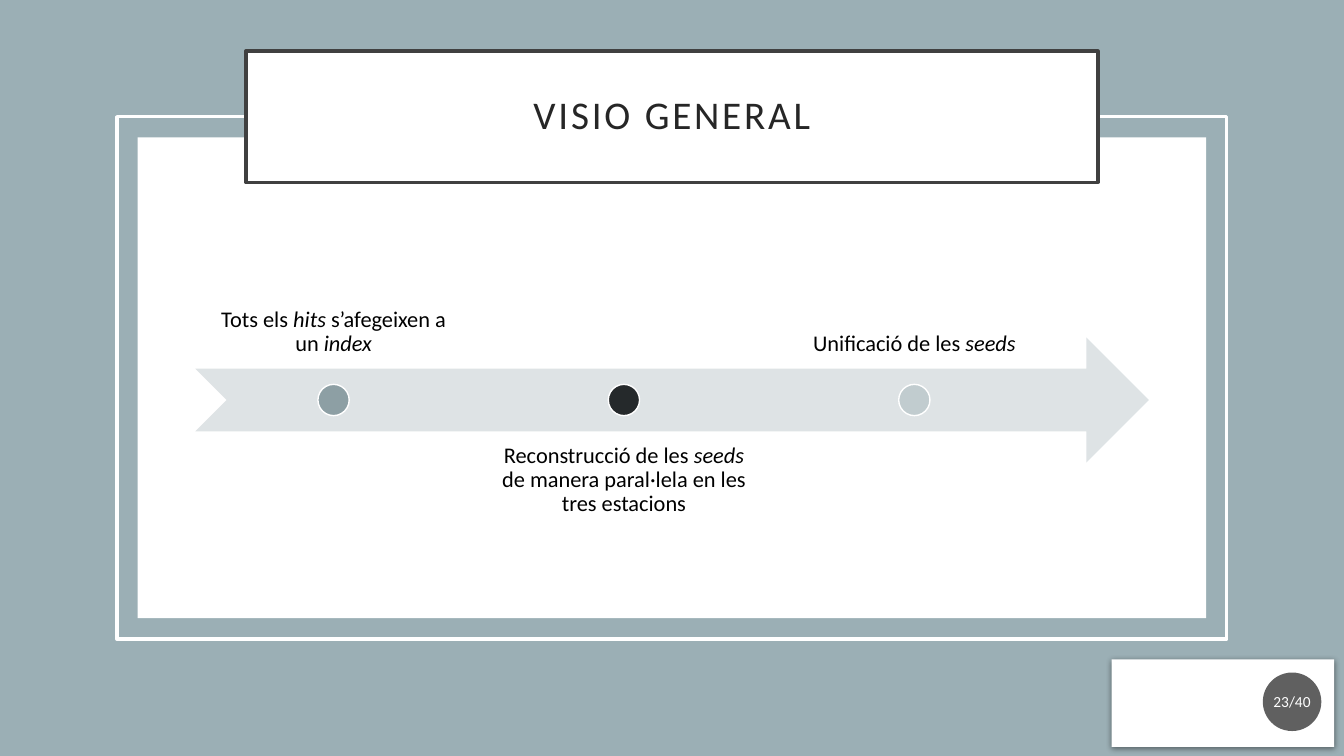
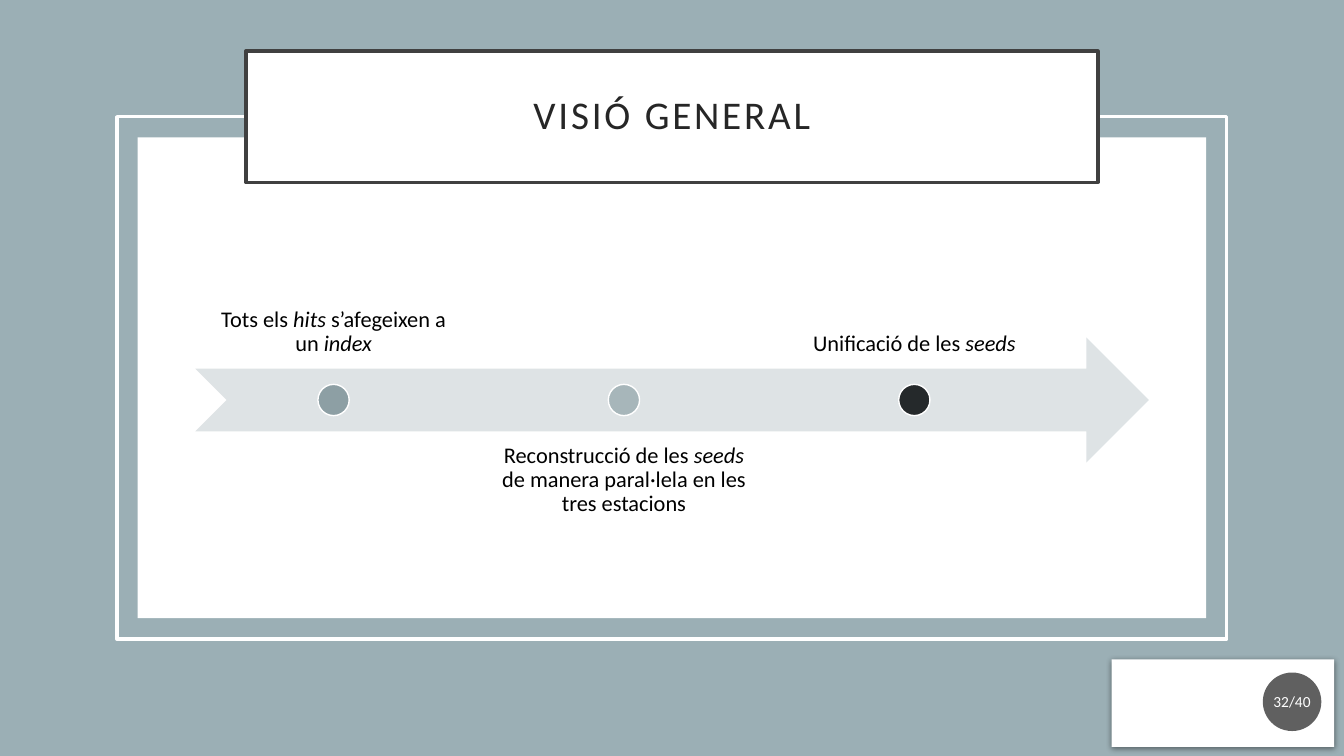
from lxml import etree
from pptx import Presentation
from pptx.dml.color import RGBColor
from pptx.enum.shapes import MSO_SHAPE
from pptx.enum.text import MSO_ANCHOR, MSO_AUTO_SIZE, PP_ALIGN
from pptx.oxml.ns import qn
from pptx.util import Pt

RECTANGLE = MSO_SHAPE.RECTANGLE
OVAL = MSO_SHAPE.OVAL
ARROW = MSO_SHAPE.NOTCHED_RIGHT_ARROW
TOP, MIDDLE, BOTTOM = MSO_ANCHOR.TOP, MSO_ANCHOR.MIDDLE, MSO_ANCHOR.BOTTOM
CENTER = PP_ALIGN.CENTER
NO_AUTOFIT = MSO_AUTO_SIZE.NONE

FONT = "Calibri"
COLORS = {
    "background": "9BAFB5",
    "white": "FFFFFF",
    "title_line": "404040",
    "title_text": "262626",
    "label": "000000",
    "arrow": "DEE3E5",
    "first": "8D9FA4",
    "second": "A7B6BA",
    "third": "C1CCCF",
    "current": "25292B",
    "badge": "1D1D1D",
    "shadow": "000000",
}

FRAME_BOX = (83.5, 83.4, 792.8, 373)
TITLE_BOX = (175.7, 36.5, 608.5, 93.8)
TIMELINE_BOX = (139.5, 174, 681.2, 223.5)
CARD_BOX = (794, 471, 159, 62.5)

STEPS = [
    ("first", [("Tots els ", False), ("hits", True),
               (" s’afegeixen a un ", False), ("index", True)]),
    ("second", [("Reconstrucció de les ", False), ("seeds", True),
                (" de manera paral·lela en les tres estacions", False)]),
    ("third", [("Unificació de les ", False), ("seeds", True)]),
]
SLIDES = [("VISIO GENERAL", 1, "23/40"), ("VISIÓ GENERAL", 2, "32/40")]


def rgb(name):
    return RGBColor.from_string(COLORS[name])


def paint(shape, fill=None, line=None, width=2.5):
    if fill:
        shape.fill.solid()
        shape.fill.fore_color.rgb = rgb(fill)
    else:
        shape.fill.background()
    if line:
        shape.line.color.rgb = rgb(line)
        shape.line.width = Pt(width)
    else:
        shape.line.fill.background()


def add_shape(shapes, kind, box, fill=None, line=None, width=2.5):
    shape = shapes.add_shape(kind, *map(Pt, box))
    shape.shadow.inherit = False
    paint(shape, fill, line, width)
    return shape


def set_frame(frame, anchor, side, vertical):
    frame.word_wrap = True
    frame.auto_size = NO_AUTOFIT
    frame.vertical_anchor = anchor
    frame.margin_left = frame.margin_right = Pt(side)
    frame.margin_top = frame.margin_bottom = Pt(vertical)


def format_para(para, size, color, spacing=None):
    para.alignment = CENTER
    para.line_spacing = spacing
    for span in para.runs:
        span.font.name = FONT
        span.font.size = Pt(size)
        span.font.color.rgb = rgb(color)


def add_color_node(parent, color, alpha):
    node = etree.SubElement(parent, qn("a:srgbClr"), val=COLORS[color])
    etree.SubElement(node, qn("a:alpha"), val=str(alpha * 1000))


def add_frame(page, box):
    left, top, width, height = box
    inset = 14.8
    panel = (left + inset, top + inset, width - 2 * inset, height - 2 * inset)
    add_shape(page.shapes, RECTANGLE, panel, fill="white")
    add_shape(page.shapes, RECTANGLE, box, line="white")


def place_title(page, box, text):
    title = page.shapes.title
    page.shapes.element.append(title.element)
    title.left, title.top, title.width, title.height = map(Pt, box)
    paint(title, "white", "title_line")
    set_frame(title.text_frame, MIDDLE, 14.4, 14.4)
    title.text_frame.text = text
    para = title.text_frame.paragraphs[0]
    format_para(para, 28, "title_text", 0.9)
    for span in para.runs:
        span.font.element.set("spc", "200") if hasattr(span.font, "element") else span._r.get_or_add_rPr().set("spc", "200")


def add_label(shapes, box, anchor, parts):
    label = shapes.add_textbox(*map(Pt, box))
    set_frame(label.text_frame, anchor, 9, 9)
    para = label.text_frame.paragraphs[0]
    for text, italic in parts:
        span = para.add_run()
        span.text = text
        span.font.italic = italic
    format_para(para, 16, "label", 0.9)


def add_timeline(page, box, current):
    left, top, width, height = box
    band = 0.4 * height
    dot = 0.1 * height
    label_width = 0.29 * width
    pitch = 1.05 * label_width
    shapes = page.shapes.add_group_shape().shapes
    add_shape(shapes, ARROW, (left, top + 0.3 * height, width, band), "arrow")
    for index, (color, parts) in enumerate(STEPS):
        below = index % 2 == 1
        label_left = left + index * pitch
        label_top = top + (height - band if below else 0)
        add_label(shapes, (label_left, label_top, label_width, band),
                  TOP if below else BOTTOM, parts)
        dot_box = (label_left + (label_width - dot) / 2,
                   top + (height - dot) / 2, dot, dot)
        add_shape(shapes, OVAL, dot_box,
                  "current" if index == current else color, "white", 1)


def add_page_number(page, box, number):
    left, top, width, height = box
    card = add_shape(page.shapes, RECTANGLE, box, "white")
    effects = card.element.spPr.find(qn("a:effectLst"))
    shadow = etree.SubElement(
        effects, qn("a:outerShdw"), blurRad=str(Pt(4.4)), dist=str(Pt(1.2)),
        dir="5400000", algn="ctr", rotWithShape="0")
    add_color_node(shadow, "shadow", 45)

    size = 41.8
    badge = add_shape(page.shapes, OVAL,
                      (left + width - size - 9.2, top + 9.4, size, size), "badge")
    fill = badge.element.spPr.find(qn("a:solidFill"))
    fill.remove(fill[0])
    add_color_node(fill, "badge", 70)
    set_frame(badge.text_frame, MIDDLE, 1.4, 3.6)
    badge.text_frame.text = number
    format_para(badge.text_frame.paragraphs[0], 11, "white")


def add_overview(deck, title, current, number):
    page = deck.slides.add_slide(deck.slide_layouts.get_by_name("Title Only"))
    page.background.fill.solid()
    page.background.fill.fore_color.rgb = rgb("background")
    add_frame(page, FRAME_BOX)
    place_title(page, TITLE_BOX, title)
    add_timeline(page, TIMELINE_BOX, current)
    add_page_number(page, CARD_BOX, number)


def main():
    deck = Presentation()
    deck.slide_width, deck.slide_height = Pt(960), Pt(540)
    for title, current, number in SLIDES:
        add_overview(deck, title, current, number)
    deck.save("out.pptx")


if __name__ == "__main__":
    main()
